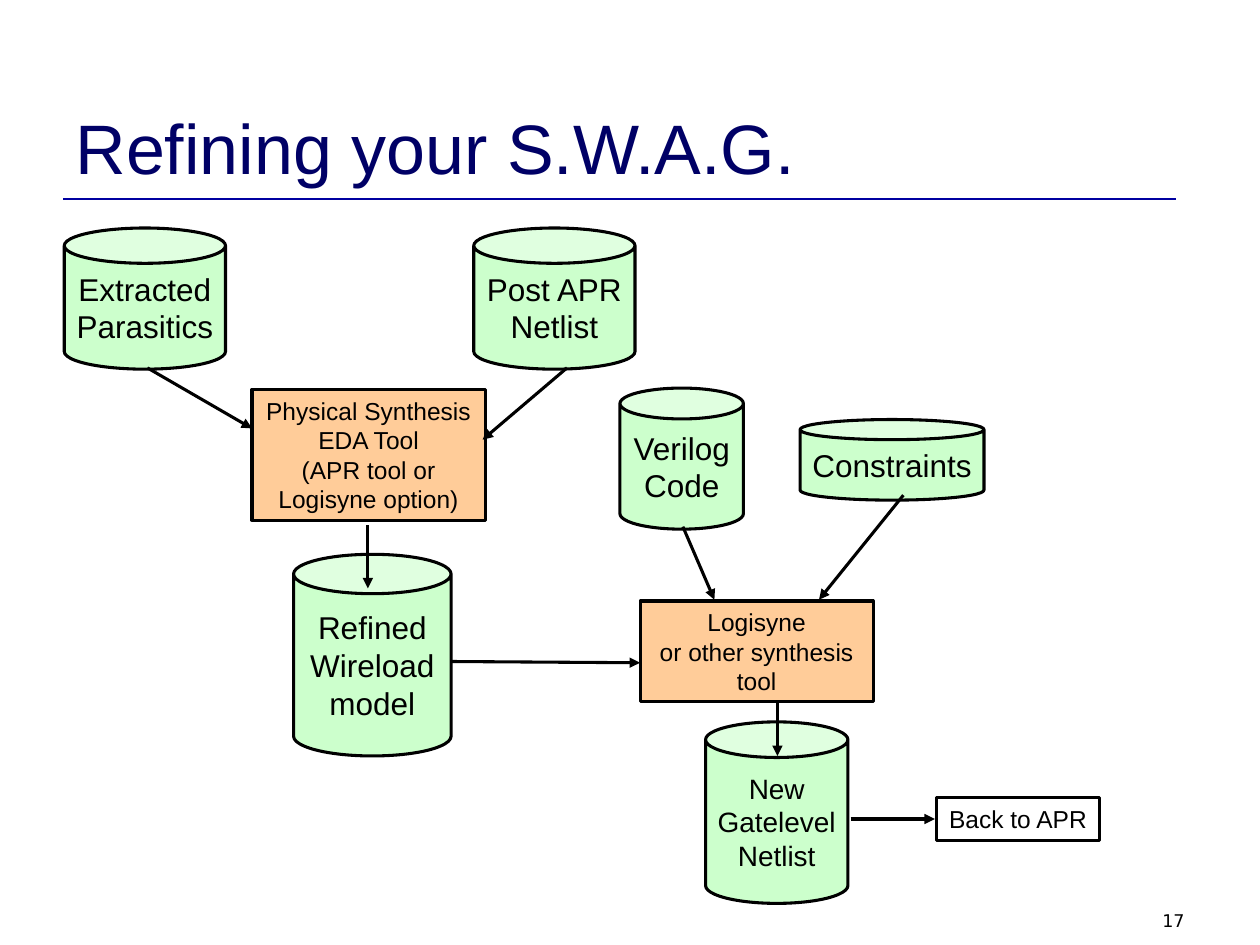
from lxml import etree
from pptx import Presentation
from pptx.dml import color
from pptx.enum import shapes, text
from pptx.oxml import ns
from pptx.util import Inches, Pt

CAN = shapes.MSO_SHAPE.CAN
RECTANGLE = shapes.MSO_SHAPE.RECTANGLE
GREEN, ORANGE, BLACK = "CCFFCC", "FFCC99", "000000"
CENTER, RIGHT = text.PP_ALIGN.CENTER, text.PP_ALIGN.RIGHT

NODES = [
    (CAN, (0.51, 1.81, 1.28, 1.12), GREEN, 18, ["Extracted", "Parasitics"]),
    (RECTANGLE, (2, 3.09, 1.85, 1.04), ORANGE, 14,
     ["Physical Synthesis", "EDA Tool", "(APR tool or", "Logisyne option)"]),
    (CAN, (3.76, 1.81, 1.28, 1.12), GREEN, 18, ["Post APR", "Netlist"]),
    (CAN, (2.33, 4.4, 1.25, 1.6), GREEN, 18, ["Refined", "Wireload", "model"]),
    (RECTANGLE, (5.08, 4.77, 1.85, 0.8), ORANGE, 14,
     ["Logisyne", "or other synthesis", "tool"]),
    (CAN, (4.92, 3.08, 0.98, 1.12), GREEN, 18, ["Verilog", "Code"]),
    (CAN, (6.35, 3.33, 1.46, 0.64), GREEN, 18, ["Constraints"]),
    (CAN, (5.6, 5.73, 1.13, 1.44), GREEN, 16, ["New", "Gatelevel", "Netlist"]),
    (RECTANGLE, (7.43, 6.33, 1.3, 0.34), None, 14, ["Back to APR"]),
]

ARROWS = [
    (1.17, 2.92, 2, 3.4),
    (4.5, 2.92, 3.83, 3.49),
    (2.92, 4.17, 2.92, 4.67),
    (3.58, 5.25, 5.08, 5.26),
    (5.42, 4.18, 5.67, 4.76),
    (7.17, 3.93, 6.5, 4.76),
    (6.17, 5.58, 6.17, 6),
    (6.75, 6.5, 7.42, 6.5),
]


def paint(target, value):
    target.rgb = color.RGBColor.from_string(value)


def write(box, lines, size, ink=BLACK, face="Arial", align=CENTER,
          anchor=text.MSO_ANCHOR.MIDDLE, wrap=False):
    frame = box.text_frame
    settings = {"word_wrap": wrap, "vertical_anchor": anchor,
                "auto_size": text.MSO_AUTO_SIZE.NONE}
    for name, value in settings.items():
        setattr(frame, name, value)
    frame.text = "\n".join(lines)
    for para in frame.paragraphs:
        para.alignment = align
        for span in para.runs:
            for name, value in {"size": Pt(size), "name": face}.items():
                setattr(span.font, name, value)
            paint(span.font.color, ink)


def add_title(page, words):
    title = page.shapes.title
    place = {"left": 0.5, "top": 0.3, "width": 9, "height": 1.25}
    for name, value in place.items():
        setattr(title, name, Inches(value))
    write(title, [words], 40, "000066", align=text.PP_ALIGN.LEFT,
          anchor=text.MSO_ANCHOR.BOTTOM, wrap=True)


def add_node(page, kind, place, fill, size, lines):
    node = page.shapes.add_shape(kind, *map(Inches, place))
    node.shadow.inherit = False
    if fill:
        node.fill.solid()
        paint(node.fill.fore_color, fill)
    else:
        node.fill.background()
    node.line.width = Pt(1.75)
    paint(node.line.color, BLACK)
    write(node, lines, size)


def add_line(page, ends, ink=BLACK, width=1.75, arrow=True):
    line = page.shapes.add_connector(shapes.MSO_CONNECTOR.STRAIGHT, *map(Inches, ends))
    line.line.width = Pt(width)
    paint(line.line.color, ink)
    if arrow:
        etree.SubElement(line.line._get_or_add_ln(), ns.qn("a:tailEnd"), type="triangle")
    etree.SubElement(line._element.spPr, ns.qn("a:effectLst"))


def add_page_number(page, number):
    box = page.shapes.add_textbox(*map(Inches, (7.17, 7.17, 2.33, 0.25)))
    write(box, [number], 10, face="DejaVu Sans", align=RIGHT,
          anchor=text.MSO_ANCHOR.TOP, wrap=True)


def main():
    deck = Presentation()
    deck.slide_width, deck.slide_height = Inches(10), Inches(7.5)
    page = deck.slides.add_slide(deck.slide_layouts[5])
    add_title(page, "Refining your S.W.A.G.")
    add_line(page, (0.5, 1.58, 9.33, 1.58), "0000A0", 1.5, arrow=False)
    add_page_number(page, "17")
    for node in NODES:
        add_node(page, *node)
    for ends in ARROWS:
        add_line(page, ends)
    deck.save("out.pptx")


if __name__ == "__main__":
    main()
